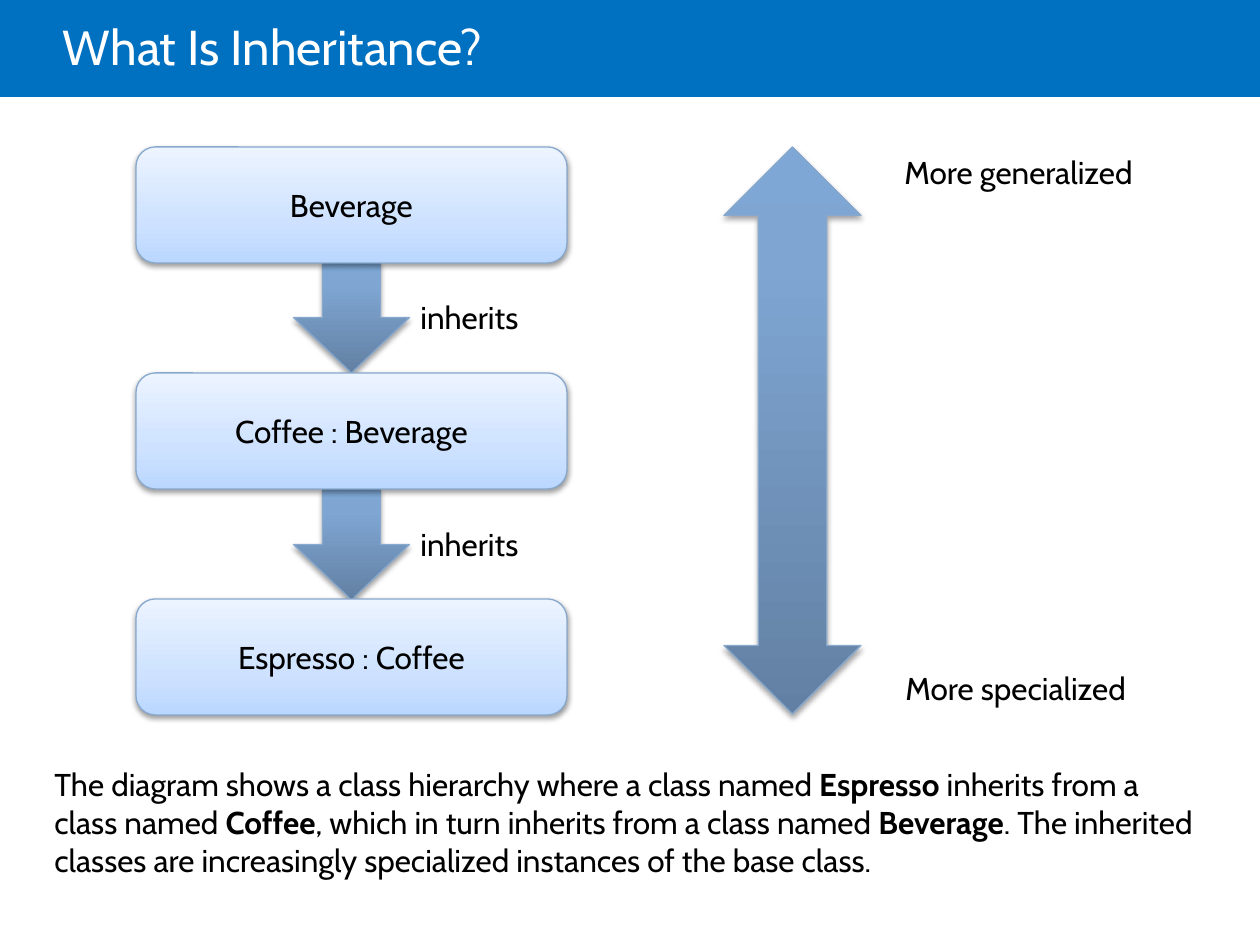
"""Builds a slide that explains class inheritance with a three-level hierarchy."""
from lxml import etree
from pptx import Presentation
from pptx.dml.color import RGBColor
from pptx.enum.shapes import MSO_SHAPE
from pptx.enum.text import MSO_ANCHOR, MSO_AUTO_SIZE, PP_ALIGN
from pptx.oxml.ns import qn
from pptx.util import Emu, Pt

RECTANGLE, ROUNDED = MSO_SHAPE.RECTANGLE, MSO_SHAPE.ROUNDED_RECTANGLE
DOWN_ARROW, UP_DOWN_ARROW = MSO_SHAPE.DOWN_ARROW, MSO_SHAPE.UP_DOWN_ARROW
MIDDLE, CENTER = MSO_ANCHOR.MIDDLE, PP_ALIGN.CENTER
FIT_SHAPE = MSO_AUTO_SIZE.SHAPE_TO_FIT_TEXT

FONT = "Cabin"
BLACK, WHITE, BLUE, OUTLINE = "000000", "FFFFFF", "0070C0", "88A8CD"
ARROW_STYLE = {
    "stops": [(0, "6280A3"), (80, "7FA6D3"), (100, "7EA7D6")],
    "opacity": 35,
    "distance": 1.8,
}
BOX_STYLE = {
    "stops": [(0, "BAD7FF"), (35, "CEE2FF"), (100, "ECF4FF")],
    "opacity": 38,
    "distance": 1.6,
}

TITLE = "What Is Inheritance?"
CLASSES = ["Beverage", "Coffee : Beverage", "Espresso : Coffee"]
RELATION = "inherits"
SCALE_LABELS = [("More generalized", 892, 147), ("More specialized", 893, 663)]
SUMMARY = [
    ("The diagram shows a class hierarchy where a class named ", False),
    ("Espresso", True),
    (" inherits from a class named ", False),
    ("Coffee", True),
    (", which in turn inherits from a class named ", False),
    ("Beverage", True),
    (". The inherited classes are increasingly specialized instances of the base class.", False),
]

BOX_LEFT, BOX_TOP, BOX_WIDTH, BOX_HEIGHT, BOX_PITCH = 136, 147, 431, 116, 226
ARROW_WIDTH, ARROW_HEIGHT = 116, 111
ARROW_TOP, LABEL_TOP, RELATION_PITCH = 262, 292, 227


def px(length):
    return Emu(round(length * 914400 / 126))


def color(value):
    return RGBColor.from_string(value)


def add_color(parent, value):
    return etree.SubElement(parent, qn("a:srgbClr"), val=value)


def add_shape(slide, kind, *box):
    shape = slide.shapes.add_shape(kind, *map(px, box))
    shape.shadow.inherit = False
    return shape


def add_glossy_shape(slide, kind, style, *box):
    shape = add_shape(slide, kind, *box)
    shape.line.color.rgb = color(OUTLINE)
    shape.line.width = Pt(0.75)
    shape.fill.gradient()
    shape.fill.gradient_angle = 90
    properties = shape._element.spPr
    stop_list = properties.find(".//" + qn("a:gsLst"))
    for stop in list(stop_list):
        stop_list.remove(stop)
    for position, value in style["stops"]:
        stop = etree.SubElement(stop_list, qn("a:gs"), pos=str(position * 1000))
        add_color(stop, value)
    properties.find(".//" + qn("a:lin")).set("ang", "16200000")
    shadow = etree.SubElement(
        properties.find(qn("a:effectLst")), qn("a:outerShdw"),
        blurRad=str(Pt(3.1)), dist=str(Pt(style["distance"])),
        dir="5400000", rotWithShape="0")
    etree.SubElement(add_color(shadow, BLACK), qn("a:alpha"), val=str(style["opacity"] * 1000))
    return shape


def write(shape, runs, size=18, value=BLACK):
    shape.text_frame.word_wrap = True
    paragraph = shape.text_frame.paragraphs[0]
    paragraph.font.name = FONT
    paragraph.font.size = Pt(size)
    paragraph.font.color.rgb = color(value)
    for text, bold in runs:
        run = paragraph.add_run()
        run.text = text
        if bold:
            run.font.bold = True
    return paragraph


def add_text(slide, runs, *box):
    text_box = slide.shapes.add_textbox(*map(px, box))
    write(text_box, runs)
    text_box.text_frame.auto_size = FIT_SHAPE


def add_title(slide):
    bar = add_shape(slide, RECTANGLE, 0, 0, 1260, 97)
    bar.fill.solid()
    bar.fill.fore_color.rgb = color(BLUE)
    bar.line.fill.background()
    title = slide.shapes.add_textbox(*map(px, (63, 0, 1071, 102)))
    title.text_frame.margin_left = 0
    title.text_frame.vertical_anchor = MIDDLE
    write(title, [(TITLE, False)], 28, WHITE).line_spacing = 0.85


def add_hierarchy(slide):
    arrow_left = BOX_LEFT + (BOX_WIDTH - ARROW_WIDTH) / 2
    for index in range(len(CLASSES) - 1):
        offset = index * RELATION_PITCH
        add_glossy_shape(slide, DOWN_ARROW, ARROW_STYLE,
                         arrow_left, ARROW_TOP + offset, ARROW_WIDTH, ARROW_HEIGHT)
        add_text(slide, [(RELATION, False)], 408, LABEL_TOP + offset, 284, 51)
    for index, name in enumerate(CLASSES):
        box = add_glossy_shape(slide, ROUNDED, BOX_STYLE, BOX_LEFT,
                               BOX_TOP + index * BOX_PITCH, BOX_WIDTH, BOX_HEIGHT)
        box.text_frame.margin_left = box.text_frame.margin_right = px(25)
        box.text_frame.vertical_anchor = MIDDLE
        write(box, [(name, False)]).alignment = CENTER


def main():
    presentation = Presentation()
    presentation.slide_width, presentation.slide_height = px(1260), px(945)
    slide = presentation.slides.add_slide(presentation.slide_layouts[6])
    add_title(slide)
    add_glossy_shape(slide, UP_DOWN_ARROW, ARROW_STYLE, 724, BOX_TOP, 137, 567)
    add_hierarchy(slide)
    for label, left, top in SCALE_LABELS:
        add_text(slide, [(label, False)], left, top, 346, 51)
    add_text(slide, SUMMARY, 42, 759, 1176, 127)
    presentation.save("out.pptx")


if __name__ == "__main__":
    main()
